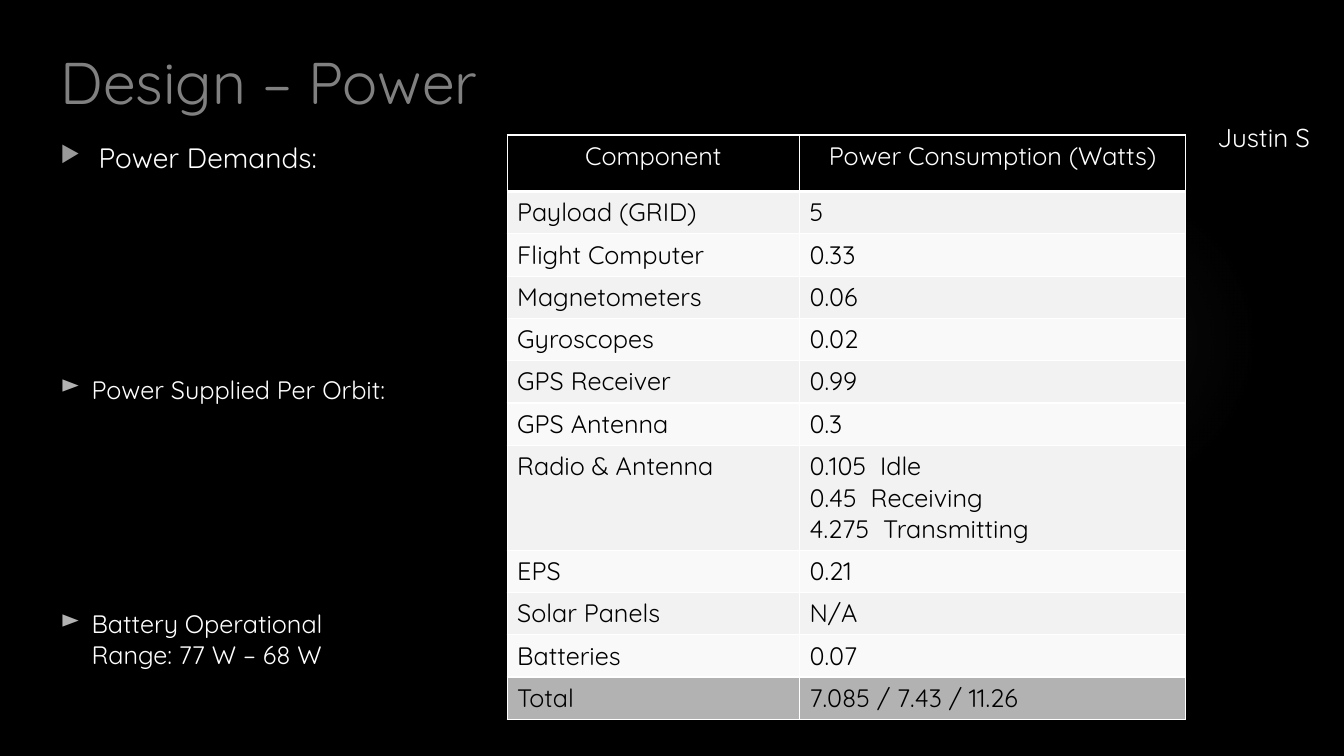
from lxml import etree
from pptx import Presentation
from pptx.dml.color import RGBColor
from pptx.enum.shapes import MSO_SHAPE
from pptx.enum.text import PP_ALIGN
from pptx.oxml import parse_xml
from pptx.oxml.ns import nsdecls, qn
from pptx.util import Inches, Pt

ELLIPSE = MSO_SHAPE.OVAL
LEFT, CENTER, RIGHT = PP_ALIGN.LEFT, PP_ALIGN.CENTER, PP_ALIGN.RIGHT
FONT = "Quicksand"
COLORS = {
    "background": "000000", "glow": "666666", "title": "808080",
    "light": "FFFFFF", "dark": "000000", "arrow": "999999",
    "pale_arrow": "B2B2B2", "header": "000000", "odd": "F2F2F2",
    "even": "F9F9F9", "total": "B2B2B2", "border": "FFFFFF",
}
MARGIN = 0.5
COLUMN_WIDTHS = (2.9, 3.83)
HEADER_HEIGHT, LINE_HEIGHT, EXTRA_LINE = 0.56, 0.42, 0.31
POWER_BUDGET = [
    ("Component", "Power Consumption (Watts)"),
    ("Payload (GRID)", "5"),
    ("Flight Computer", "0.33"),
    ("Magnetometers", "0.06"),
    ("Gyroscopes", "0.02"),
    ("GPS Receiver", "0.99"),
    ("GPS Antenna", "0.3"),
    ("Radio & Antenna", "0.105  Idle\n0.45  Receiving\n4.275  Transmitting"),
    ("EPS", "0.21"),
    ("Solar Panels", "N/A"),
    ("Batteries", "0.07"),
    ("Total", "7.085 / 7.43 / 11.26"),
]


def rgb(color):
    return RGBColor.from_string(COLORS[color])


def style_text(frame, size, color, align=LEFT):
    for paragraph in frame.paragraphs:
        paragraph.alignment = align
        for run in paragraph.runs:
            run.font.name = FONT
            run.font.size = Pt(size)
            run.font.color.rgb = rgb(color)


def add_bullet(paragraph, symbol, color, indent, percent):
    props = paragraph._p.get_or_add_pPr()
    props.set("marL", str(Inches(indent)))
    props.set("indent", str(-Inches(indent)))
    bullet_color = etree.SubElement(props, qn("a:buClr"))
    etree.SubElement(bullet_color, qn("a:srgbClr"), val=COLORS[color])
    etree.SubElement(props, qn("a:buSzPct"), val=str(percent * 1000))
    etree.SubElement(props, qn("a:buChar"), char=symbol)


def add_text(slide, box, text, size, color="light", align=LEFT, bullet=None):
    frame = slide.shapes.add_textbox(*map(Inches, box)).text_frame
    frame.word_wrap = True
    frame.text = text
    if bullet:
        add_bullet(frame.paragraphs[0], *bullet)
    style_text(frame, size, color, align)


def add_glow(slide, box):
    glow = slide.shapes.add_shape(ELLIPSE, *map(Inches, box))
    glow.shadow.inherit = False
    glow.line.fill.background()
    glow.fill.background()
    stops = "".join(
        f'<a:gs pos="{position * 1000}"><a:srgbClr val="{COLORS["glow"]}">'
        f'<a:alpha val="{alpha * 1000}"/></a:srgbClr></a:gs>'
        for position, alpha in ((0, 7), (36, 6), (69, 0), (100, 0)))
    gradient = parse_xml(
        f'<a:gradFill {nsdecls("a")} rotWithShape="1"><a:gsLst>{stops}</a:gsLst>'
        '<a:path path="circle"><a:fillToRect l="50000" t="50000" r="50000" '
        'b="50000"/></a:path></a:gradFill>')
    props = glow._element.spPr
    props.replace(props.find(qn("a:noFill")), gradient)


def add_borders(cell, bottom_width):
    props = cell._tc.get_or_add_tcPr()
    widths = {"lnL": 1, "lnR": 1, "lnT": 1, "lnB": bottom_width}
    for position, (side, width) in enumerate(widths.items()):
        props.insert(position, parse_xml(
            f'<a:{side} {nsdecls("a")} w="{Pt(width)}"><a:solidFill>'
            f'<a:srgbClr val="{COLORS["border"]}"/></a:solidFill></a:{side}>'))


def row_fill(index):
    if index == 0:
        return "header"
    if index == len(POWER_BUDGET) - 1:
        return "total"
    return "odd" if index % 2 else "even"


def add_power_table(slide, left, top):
    heights = [HEADER_HEIGHT] + [
        LINE_HEIGHT + EXTRA_LINE * watts.count("\n")
        for _, watts in POWER_BUDGET[1:]]
    box = (left, top, sum(COLUMN_WIDTHS), sum(heights))
    table = slide.shapes.add_table(
        len(POWER_BUDGET), len(COLUMN_WIDTHS), *map(Inches, box)).table
    for column, width in zip(table.columns, COLUMN_WIDTHS):
        column.width = Inches(width)
    for index, entry in enumerate(POWER_BUDGET):
        table.rows[index].height = Inches(heights[index])
        is_header = index == 0
        for cell, text in zip(table.rows[index].cells, entry):
            cell.text_frame.text = text
            cell.fill.solid()
            cell.fill.fore_color.rgb = rgb(row_fill(index))
            style_text(cell.text_frame, 18, "light" if is_header else "dark",
                       CENTER if is_header else LEFT)
            add_borders(cell, 3 if index == 0 else 1)


def add_power_notes(slide, left, top):
    # Main heading, then the two smaller notes below it
    add_text(slide, (left, top, 11.72, 5.64), "Power Demands:", 20,
             bullet=("▶", "arrow", 0.38, 80))
    small_bullet = ("►", "pale_arrow", 0.31, 100)
    add_text(slide, (left, top + 2.32, 3.51, 0.71),
             "Power Supplied Per Orbit:", 18, bullet=small_bullet)
    add_text(slide, (left, top + 4.65, 3.07, 0.71),
             "Battery Operational Range: 77 W – 68 W", 18, bullet=small_bullet)


def build_power_slide(presentation):
    slide = presentation.slides.add_slide(presentation.slide_layouts[6])
    slide.background.fill.solid()
    slide.background.fill.fore_color.rgb = rgb("background")
    # Background glow
    add_glow(slide, (9.41, 1.83, 3.08, 3.08))
    # Title and speaker
    add_text(slide, (MARGIN, 0.4, 10.29, 0.77), "Design – Power", 42, "title")
    add_text(slide, (11.43, 1.16, 1.66, 0.39), "Justin S", 18.5, align=RIGHT)
    # Notes on the left, power budget on the right
    add_power_notes(slide, MARGIN, 1.34)
    add_power_table(slide, 5.03, 1.34)


def main():
    presentation = Presentation()
    presentation.slide_width = Inches(13.33)
    presentation.slide_height = Inches(7.5)
    build_power_slide(presentation)
    presentation.save("out.pptx")


if __name__ == "__main__":
    main()
